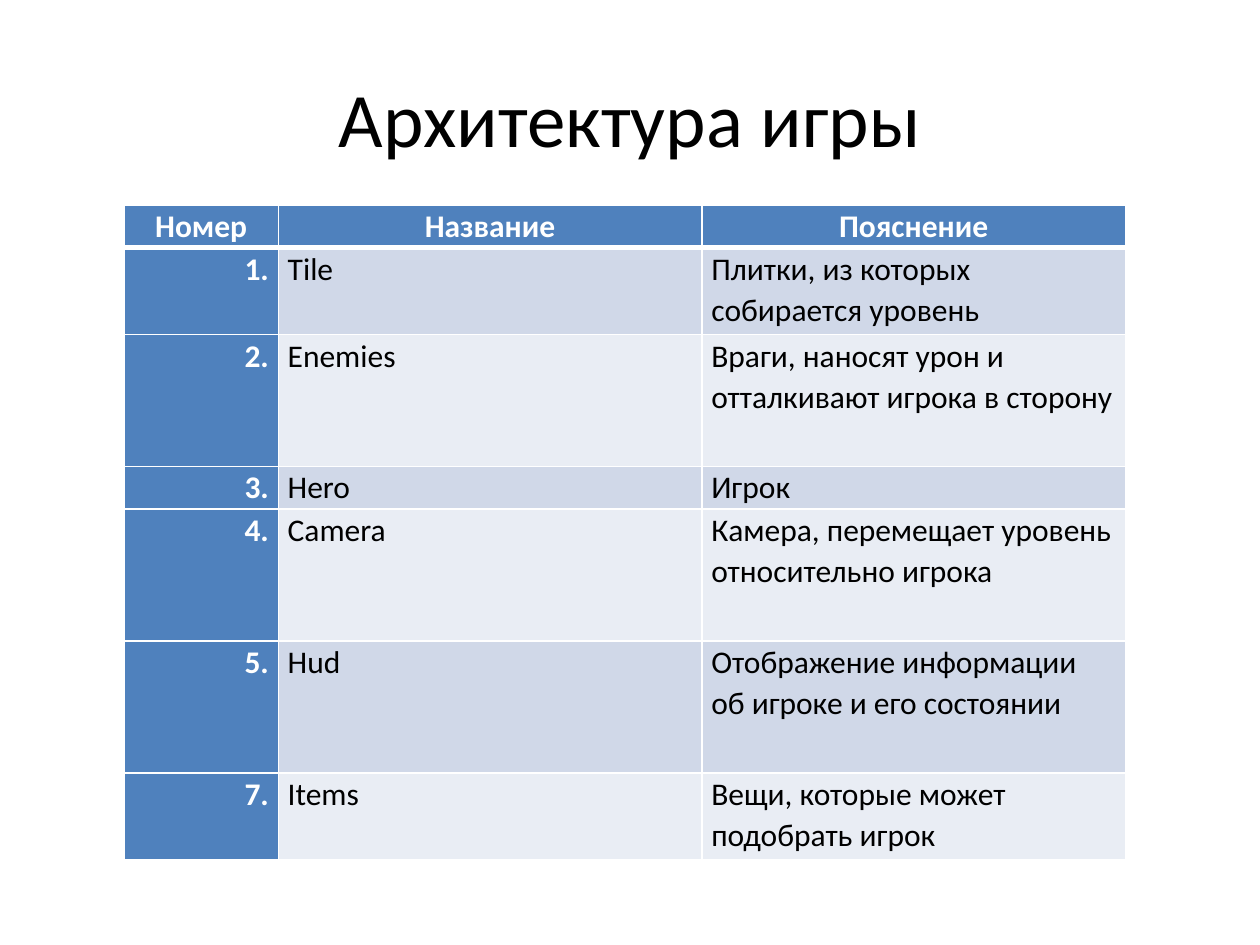
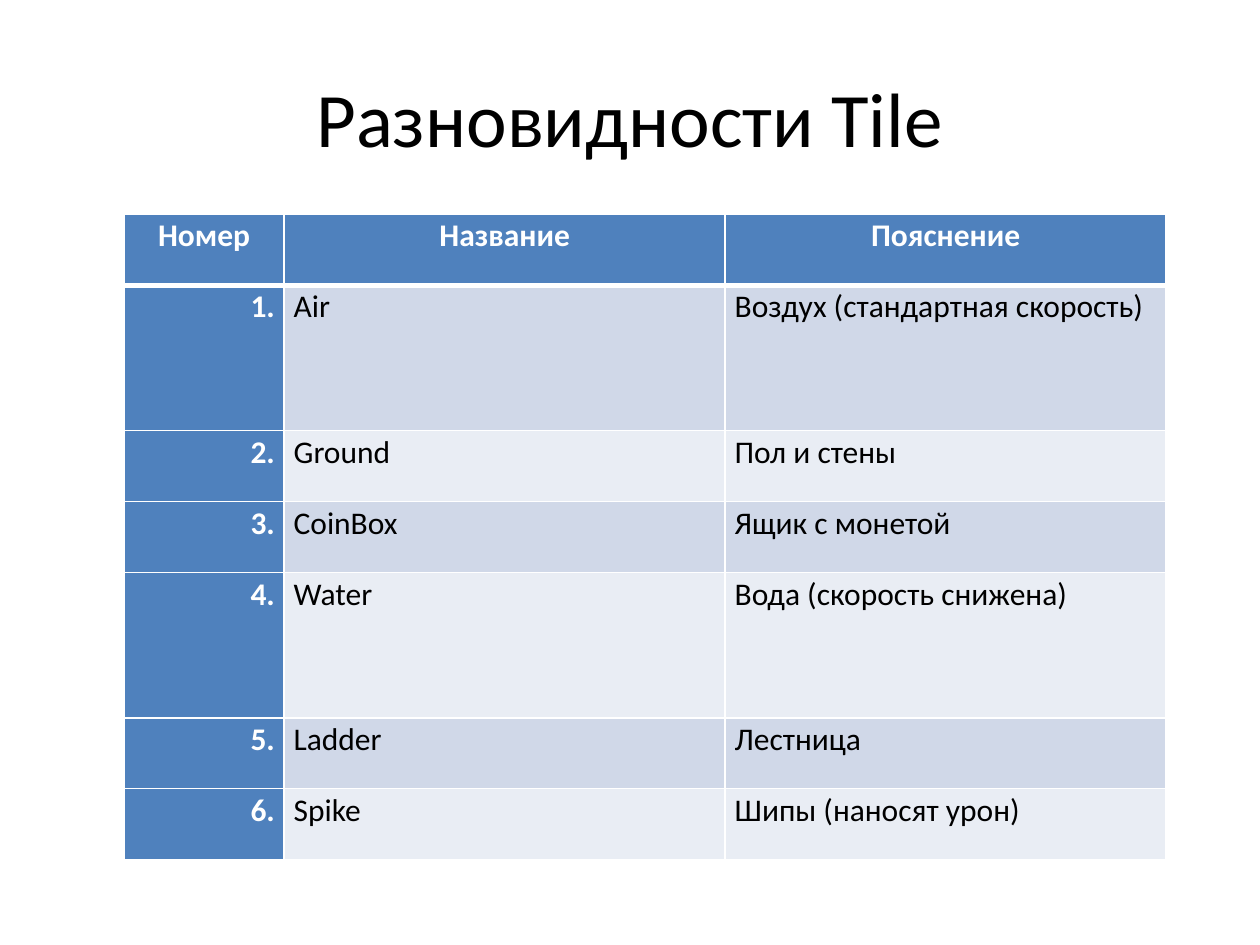
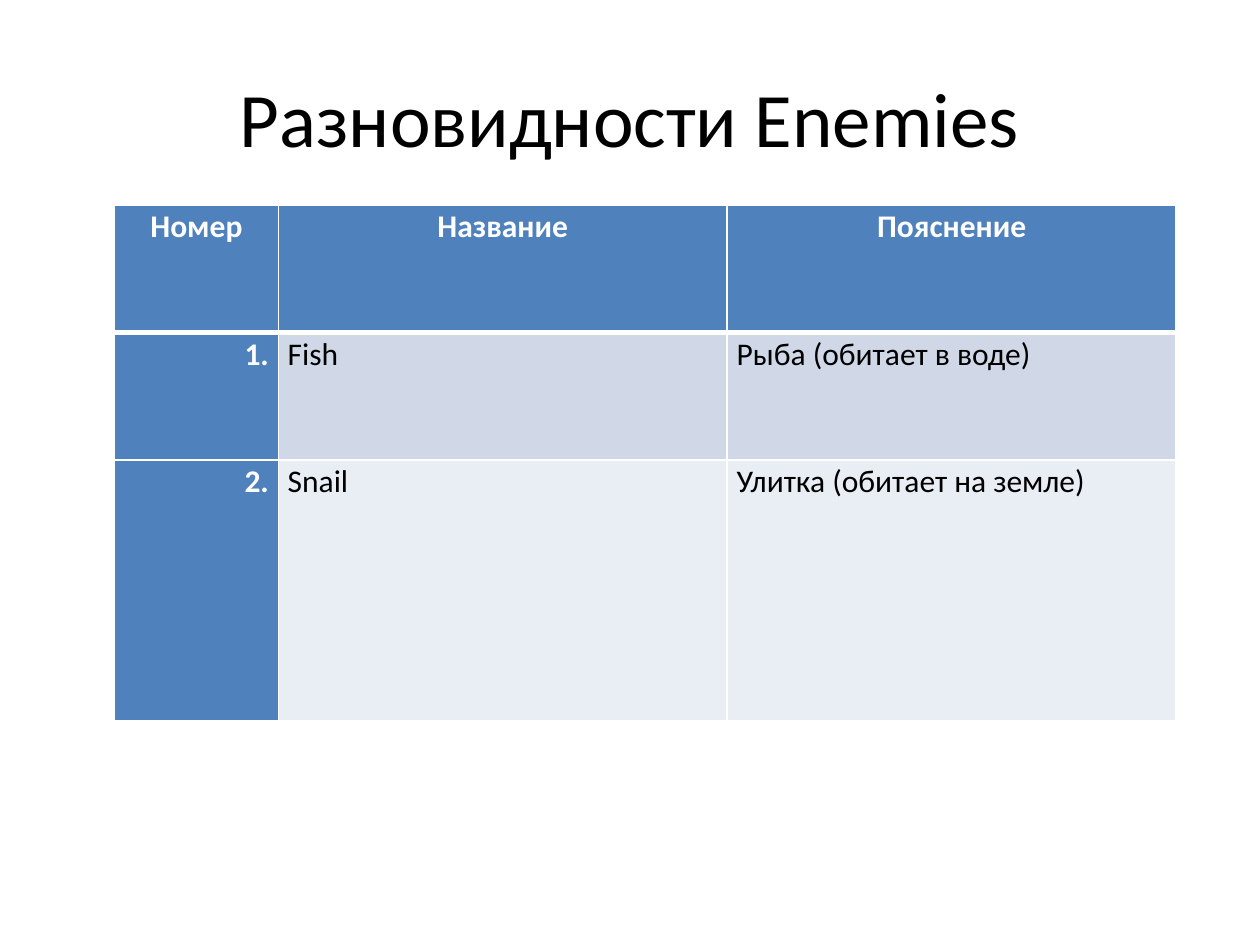
from lxml import etree
from pptx import Presentation
from pptx.dml.color import RGBColor
from pptx.enum.text import MSO_ANCHOR, PP_ALIGN
from pptx.oxml.ns import qn
from pptx.util import Cm, Pt

LEFT, CENTER, RIGHT = PP_ALIGN.LEFT, PP_ALIGN.CENTER, PP_ALIGN.RIGHT
MIDDLE = MSO_ANCHOR.MIDDLE

FONT = "Calibri"
BLACK, WHITE, BLUE = "000000", "FFFFFF", "4F81BD"
BANDS = ("D0D8E8", "E9EDF4")
HEADS = ("Номер", "Название", "Пояснение")


def color(text):
    return RGBColor.from_string(text)


class Deck:
    """Holds the shared style and the current slide."""

    def __init__(self):
        self.prs = Presentation()
        self.prs.slide_width, self.prs.slide_height = Cm(25.4), Cm(19.05)
        self.slide = None

    def page(self, title):
        """Start a slide with a centred title."""
        self.slide = self.prs.slides.add_slide(self.prs.slide_layouts[5])
        box = self.slide.shapes.title
        box.left, box.top, box.width, box.height = Cm(1.27), Cm(0.76), Cm(22.86), Cm(3.18)
        frame = box.text_frame
        frame.text, frame.vertical_anchor = title, MIDDLE
        self.format(frame.paragraphs[0], 44, BLACK, CENTER)

    def format(self, para, size, ink, align, bold=False):
        para.alignment = align
        font = para.font
        font.name, font.size, font.bold = FONT, Pt(size), bold
        font.color.rgb = color(ink)

    def edge(self, cell, side, width):
        """Draw one white border; side is L, R, T or B."""
        line = etree.SubElement(cell._tc.get_or_add_tcPr(), qn(f"a:ln{side}"), w=str(Pt(width)))
        fill = etree.SubElement(line, qn("a:solidFill"))
        etree.SubElement(fill, qn("a:srgbClr"), val=WHITE)

    def cell(self, cell, text, row, col):
        head, key = row == 0, row == 0 or col == 0
        for side in "LRTB":
            thick = (head and side == "B") or (row == 1 and side == "T")
            self.edge(cell, side, 3 if thick else 1)
        cell.fill.solid()
        cell.fill.fore_color.rgb = color(BLUE if key else BANDS[(row - 1) % 2])
        cell.margin_left = cell.margin_right = Cm(0.19)
        cell.margin_top = cell.margin_bottom = 0
        cell.text = text
        para = cell.text_frame.paragraphs[0]
        para.line_spacing, para.space_after = 1.07, Pt(8)
        align = CENTER if head else LEFT if col else RIGHT
        self.format(para, 18, WHITE if key else BLACK, align, key)

    def table(self, left, top, widths, heights, items):
        """Add a table of (number, name, meaning) rows below the header."""
        rows = [HEADS, *items]
        grid = self.slide.shapes.add_table(
            len(rows), len(HEADS), Cm(left), Cm(top), Cm(sum(widths)), Cm(sum(heights))).table
        grid.first_col = True
        for col, width in zip(grid.columns, widths):
            col.width = Cm(width)
        for row, height in zip(grid.rows, heights):
            row.height = Cm(height)
        for r, texts in enumerate(rows):
            for c, text in enumerate(texts):
                self.cell(grid.cell(r, c), text, r, c)


def main():
    deck = Deck()

    deck.page("Архитектура игры")
    low, mid, high = 0.86, 1.75, 2.66
    deck.table(2.5, 4.13, (3.11, 8.54, 8.54), (low, mid, high, low, high, high, mid), [
        ("1.", "Tile", "Плитки, из которых собирается уровень"),
        ("2.", "Enemies", "Враги, наносят урон и отталкивают игрока в сторону"),
        ("3.", "Hero", "Игрок"),
        ("4.", "Camera", "Камера, перемещает уровень относительно игрока"),
        ("5.", "Hud", "Отображение информации об игроке и его состоянии"),
        ("7.", "Items", "Вещи, которые может подобрать игрок"),
    ])

    deck.page("Разновидности Tile")
    low, high = 1.43, 2.93
    deck.table(2.5, 4.32, (3.23, 8.89, 8.89), (low, high, low, low, high, low, low), [
        ("1.", "Air", "Воздух (стандартная скорость)"),
        ("2.", "Ground", "Пол и стены"),
        ("3.", "CoinBox", "Ящик с монетой"),
        ("4.", "Water", "Вода (скорость снижена)"),
        ("5.", "Ladder", "Лестница"),
        ("6.", "Spike", "Шипы (наносят урон)"),
    ])

    deck.page("Разновидности Enemies")
    deck.table(2.31, 4.13, (3.3, 9.05, 9.05), (2.57, 2.57, 5.26), [
        ("1.", "Fish", "Рыба (обитает в воде)"),
        ("2.", "Snail", "Улитка (обитает на земле)"),
    ])

    deck.prs.save("out.pptx")


if __name__ == "__main__":
    main()
